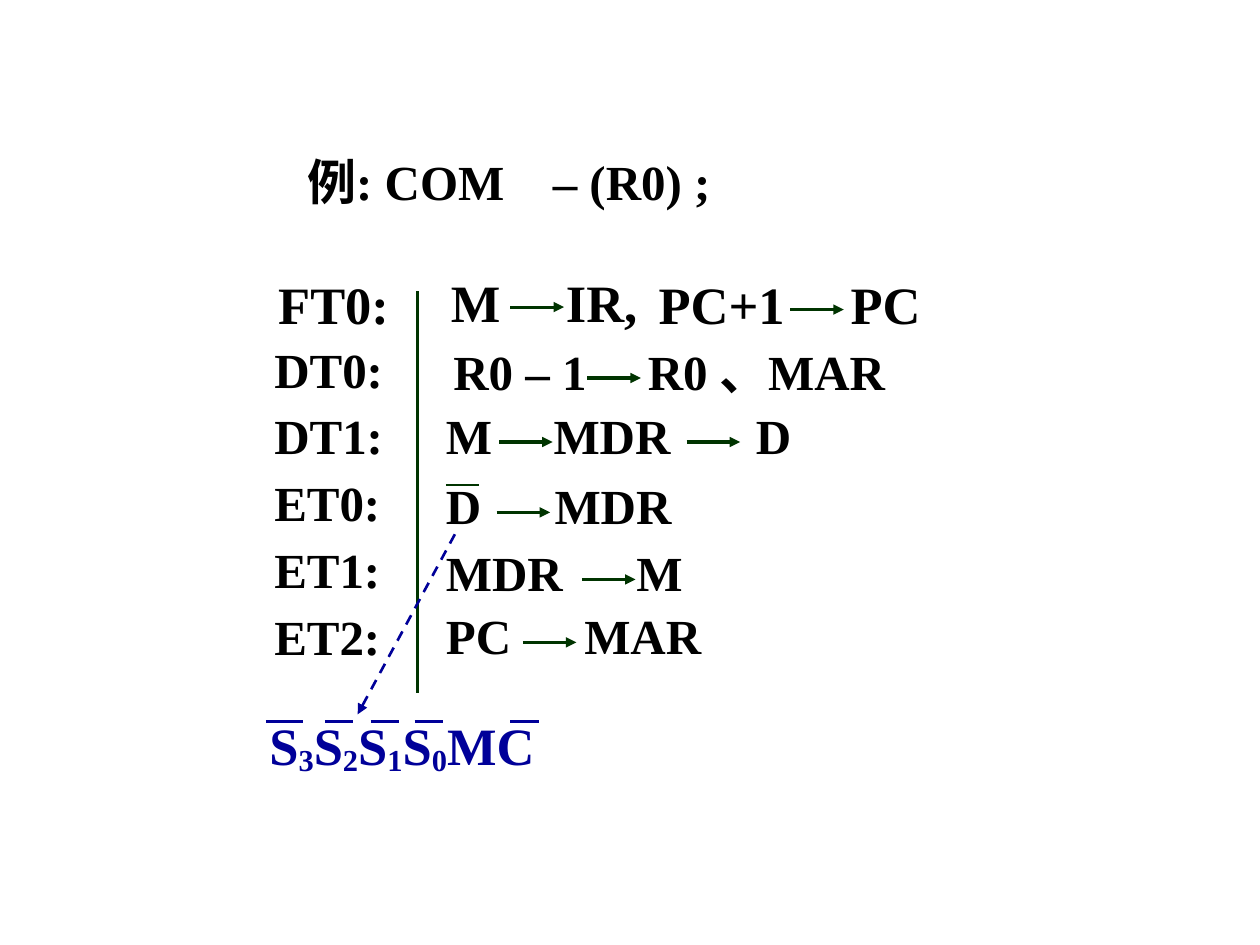
from lxml import etree
from pptx import Presentation
from pptx.dml.color import RGBColor
from pptx.enum.dml import MSO_LINE
from pptx.enum.shapes import MSO_CONNECTOR
from pptx.enum.text import MSO_ANCHOR, MSO_AUTO_SIZE, PP_ALIGN
from pptx.oxml.ns import qn
from pptx.util import Cm, Pt

STRAIGHT, DASH = MSO_CONNECTOR.STRAIGHT, MSO_LINE.DASH
TOP, LEFT, NO_FIT = MSO_ANCHOR.TOP, PP_ALIGN.LEFT, MSO_AUTO_SIZE.NONE

BLACK = RGBColor(0x00, 0x00, 0x00)
GREEN = RGBColor(0x00, 0x34, 0x00)
BLUE = RGBColor(0x00, 0x00, 0x99)
FONT = "Times New Roman"

TITLE = "例: COM\t– (R0) ;"
TITLE_TABS = [4.95]

# Text, left (cm), size (pt)
LABELS = [
    ("FT0:", 5.36, 30), ("DT0:", 5.28, 28), ("DT1:", 5.28, 28),
    ("ET0:", 5.28, 28), ("ET1:", 5.28, 28), ("ET2:", 5.28, 28),
]
LABEL_TOP, LABEL_PITCH, LABEL_WIDTH = 5.36, 1.35, 3.3

# Text, left, top, width (cm), size (pt), tab stops, arrow starts (cm)
STEPS = [
    ("M\tIR,", 8.84, 5.56, 5.08, 30, [2.32], [10.29]),
    ("PC+1\tPC", 13.03, 5.61, 6.48, 30, [3.87], [15.93]),
    ("R0 – 1\tR0", 8.89, 6.99, 7.32, 28, [3.92], [11.84]),
    ("、MAR", 14.25, 6.99, 4.95, 28, [], []),
    ("M\tMDR\tD", 8.74, 8.28, 7.92, 28, [2.17, 6.25], [10.06, 13.84]),
    ("D\tMDR", 8.74, 9.7, 5.38, 28, [2.19], [10.01]),
    ("MDR\tM", 8.74, 11.05, 6.43, 28, [3.84], [11.73]),
    ("PC\tMAR", 8.74, 12.32, 6.1, 28, [2.79], [10.54]),
]
ARROW_LENGTH, ARROW_DROP = 1.08, 0.63

# Text, is subscript
CONTROL_RUNS = [
    ("S", False), ("3", True), ("S", False), ("2", True), ("S", False),
    ("1", True), ("S", False), ("0", True), ("MC", False),
]
CONTROL_BARS = [(5.36, 6.1), (6.55, 7.11), (7.47, 8.05), (8.36, 8.94), (10.29, 10.87)]
CONTROL_BAR_Y = 14.55


def fill_text(shape, runs, size, color=BLACK, tabs=(), spacing=None):
    """Write (text, is subscript) runs into a shape as one paragraph."""
    frame = shape.text_frame
    frame.word_wrap = True
    frame.auto_size = NO_FIT
    frame.vertical_anchor = TOP
    paragraph = frame.paragraphs[0]
    paragraph.alignment = LEFT
    if spacing:
        paragraph.line_spacing = spacing
    if tabs:
        properties = paragraph._p.get_or_add_pPr()
        tab_list = etree.SubElement(properties, qn("a:tabLst"))
        for position in tabs:
            etree.SubElement(tab_list, qn("a:tab"), pos=str(Cm(position)), algn="l")
    for text, is_subscript in runs:
        run = paragraph.add_run()
        run.text = text
        run.font.name = FONT
        run.font.size = Pt(size)
        run.font.bold = True
        run.font.color.rgb = color
        if is_subscript:
            run._r.get_or_add_rPr().set("baseline", "-12000")


def add_text(slide, left, top, width, height, runs, size, **style):
    """Add a text box placed in centimetres."""
    box = slide.shapes.add_textbox(Cm(left), Cm(top), Cm(width), Cm(height))
    fill_text(box, runs, size, **style)


def add_line(slide, start, end, color, weight=1.5, arrow=False, dash=None):
    """Add a straight line between two points in centimetres."""
    points = [Cm(value) for value in (*start, *end)]
    connector = slide.shapes.add_connector(STRAIGHT, *points)
    connector.line.color.rgb = color
    connector.line.width = Pt(weight)
    if dash:
        connector.line.dash_style = dash
    if arrow:
        outline = connector.line._get_or_add_ln()
        etree.SubElement(outline, qn("a:tailEnd"), type="triangle")
    etree.SubElement(connector._element.spPr, qn("a:effectLst"))


presentation = Presentation()
presentation.slide_width, presentation.slide_height = Cm(25.4), Cm(19.05)
slide = presentation.slides.add_slide(presentation.slide_layouts[5])

title = slide.shapes.title
title.left, title.top, title.width, title.height = Cm(5.94), Cm(2.92), Cm(10.24), Cm(1.45)
fill_text(title, [(TITLE, False)], 28, tabs=TITLE_TABS)

for row, (text, left, size) in enumerate(LABELS):
    top = LABEL_TOP + row * LABEL_PITCH
    add_text(slide, left, top, LABEL_WIDTH, 1.45, [(text, False)], size)

for text, left, top, width, size, tabs, arrows in STEPS:
    add_text(slide, left, top, width, 1.25, [(text, False)], size, tabs=tabs, spacing=0.8)
    arrow_y = top + ARROW_DROP
    for x in arrows:
        add_line(slide, (x, arrow_y), (x + ARROW_LENGTH, arrow_y), GREEN, 1.75, arrow=True)

add_line(slide, (8.99, 9.78), (9.65, 9.78), GREEN)
add_line(slide, (8.41, 5.87), (8.41, 13.97), GREEN)
add_line(slide, (9.17, 10.77), (7.21, 14.4), BLUE, arrow=True, dash=DASH)

add_text(slide, 5.18, 14.25, 7.29, 1.55, CONTROL_RUNS, 30, color=BLUE)
for bar_start, bar_end in CONTROL_BARS:
    add_line(slide, (bar_start, CONTROL_BAR_Y), (bar_end, CONTROL_BAR_Y), BLUE)

presentation.save("out.pptx")
